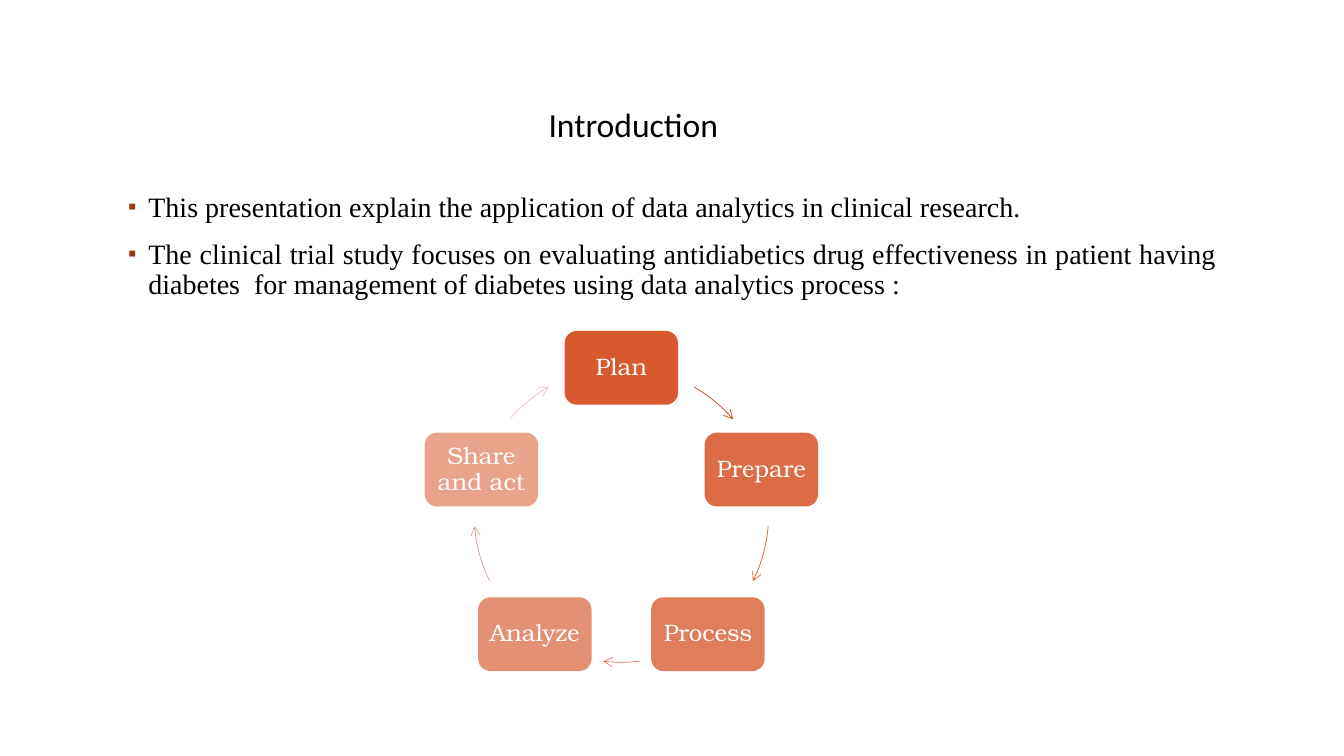
from dataclasses import dataclass
from math import cos, radians, sin

from lxml import etree
from pptx import Presentation
from pptx.dml.color import RGBColor
from pptx.enum import shapes, text
from pptx.oxml import ns
from pptx.util import Cm, Pt

BLACK = RGBColor(0x00, 0x00, 0x00)
WHITE = RGBColor(0xFF, 0xFF, 0xFF)
ORANGE = RGBColor(0xD3, 0x48, 0x17)
BULLET_RED = RGBColor(0x9E, 0x36, 0x11)

CENTER_X, CENTER_Y, RADIUS = 15.66, 12.98, 3.71
NODE_WIDTH, NODE_HEIGHT = 2.86, 1.86
ARC_SEGMENTS = 10

POINTS = (
    "This presentation explain the application of data analytics in clinical research.",
    "The clinical trial study focuses on evaluating antidiabetics drug effectiveness in "
    "patient having diabetes  for management of diabetes using data analytics process :",
)


@dataclass(frozen=True)
class Step:
    """A stage of the cycle and the arc, in degrees from the top, that leaves it."""
    label: str
    opacity: int
    arc_start: float
    arc_end: float
    arc_color: RGBColor


STEPS = (
    Step("Plan", 90, 29.5, 49.4, RGBColor(0xCA, 0x45, 0x16)),
    Step("Prepare", 80, 94.3, 116.7, RGBColor(0xDF, 0x58, 0x32)),
    Step("Process", 70, 172.9, 187.1, RGBColor(0xE0, 0x7A, 0x64)),
    Step("Analyze", 60, 243.3, 265.7, RGBColor(0xE3, 0x9E, 0x92)),
    Step("Share and act", 50, 310.6, 330.5, RGBColor(0xEA, 0xC2, 0xBD)),
)


def on_circle(angle: float) -> tuple[float, float]:
    """Point in centimetres, with the angle running clockwise from the top."""
    turn = radians(angle)
    return CENTER_X + RADIUS * sin(turn), CENTER_Y - RADIUS * cos(turn)


def add_span(para, words: str, font_name: str, size: float, color: RGBColor) -> None:
    span = para.add_run()
    span.text = words
    span.font.name = font_name
    span.font.size = Pt(size)
    span.font.color.rgb = color


def add_title(page) -> None:
    title = page.shapes.title
    title.left, title.top, title.width, title.height = Cm(3.55), Cm(2.49), Cm(24.82), Cm(1.27)
    title.text_frame.vertical_anchor = text.MSO_ANCHOR.MIDDLE
    para = title.text_frame.paragraphs[0]
    para.alignment = text.PP_ALIGN.CENTER
    add_span(para, "Introduction", "Calibri", 24, BLACK)


def add_bullet(para) -> None:
    properties = para._p.get_or_add_pPr()
    properties.set("marL", str(Cm(0.51)))
    properties.set("indent", str(-Cm(0.51)))
    color = etree.SubElement(properties, ns.qn("a:buClr"))
    etree.SubElement(color, ns.qn("a:srgbClr"), val=str(BULLET_RED))
    etree.SubElement(properties, ns.qn("a:buSzPct"), val="85000")
    etree.SubElement(properties, ns.qn("a:buFont"), typeface="Times New Roman")
    etree.SubElement(properties, ns.qn("a:buChar"), char="▪")


def add_points(page) -> None:
    box = page.shapes.add_textbox(Cm(2.98), Cm(4.74), Cm(27.94), Cm(12.42))
    frame = box.text_frame
    frame.word_wrap = True
    for index, words in enumerate(POINTS):
        para = frame.add_paragraph() if index else frame.paragraphs[0]
        add_bullet(para)
        para.alignment = text.PP_ALIGN.JUSTIFY
        para.line_spacing = 0.9
        if index:
            para.space_before = Pt(12)
        add_span(para, words, "Times New Roman", 20, BLACK)


def add_node(page, step: Step, angle: float) -> None:
    x, y = on_circle(angle)
    node = page.shapes.add_shape(
        shapes.MSO_SHAPE.ROUNDED_RECTANGLE,
        Cm(x - NODE_WIDTH / 2), Cm(y - NODE_HEIGHT / 2), Cm(NODE_WIDTH), Cm(NODE_HEIGHT))
    node.shadow.inherit = False
    node.line.fill.background()
    node.fill.solid()
    node.fill.fore_color.rgb = ORANGE
    fill_color = node._element.spPr.find(ns.qn("a:solidFill"))[0]
    etree.SubElement(fill_color, ns.qn("a:alpha"), val=str(step.opacity * 1000))

    frame = node.text_frame
    frame.word_wrap = True
    frame.vertical_anchor = text.MSO_ANCHOR.MIDDLE
    frame.margin_left = frame.margin_right = Cm(0.16)
    frame.margin_top = frame.margin_bottom = Cm(0.16)
    para = frame.paragraphs[0]
    para.alignment = text.PP_ALIGN.CENTER
    para.line_spacing = 0.9
    add_span(para, step.label, "TeX Gyre Bonum", 17, WHITE)


def add_arc(page, step: Step) -> None:
    """Draw one arc in a frame that spans the whole circle."""
    sweep = step.arc_end - step.arc_start
    spots = [on_circle(step.arc_start + sweep * part / ARC_SEGMENTS)
             for part in range(ARC_SEGMENTS + 1)]
    start, *rest = [(Cm(x), Cm(y)) for x, y in spots]
    builder = page.shapes.build_freeform(Cm(CENTER_X - RADIUS), Cm(CENTER_Y - RADIUS))
    builder.move_to(Cm(CENTER_X + RADIUS), Cm(CENTER_Y + RADIUS))
    builder.move_to(*start)
    builder.add_line_segments(rest, close=False)
    arc = builder.convert_to_shape()
    # The first two moves only set the frame; the outline starts at the third.
    outline = next(arc._element.iter(ns.qn("a:path")))
    for corner in outline.findall(ns.qn("a:moveTo"))[:2]:
        outline.remove(corner)
    arc.shadow.inherit = False
    arc.fill.background()
    arc.line.color.rgb = step.arc_color
    arc.line.width = Pt(0.5)
    etree.SubElement(arc.line._get_or_add_ln(), ns.qn("a:tailEnd"), type="arrow")


def main() -> None:
    deck = Presentation()
    deck.slide_width, deck.slide_height = Cm(33.87), Cm(19.05)
    page = deck.slides.add_slide(deck.slide_layouts.get_by_name("Title Only"))
    add_title(page)
    add_points(page)
    for index, step in enumerate(STEPS):
        add_node(page, step, index * 360 / len(STEPS))
        add_arc(page, step)
    deck.save("out.pptx")


if __name__ == "__main__":
    main()
